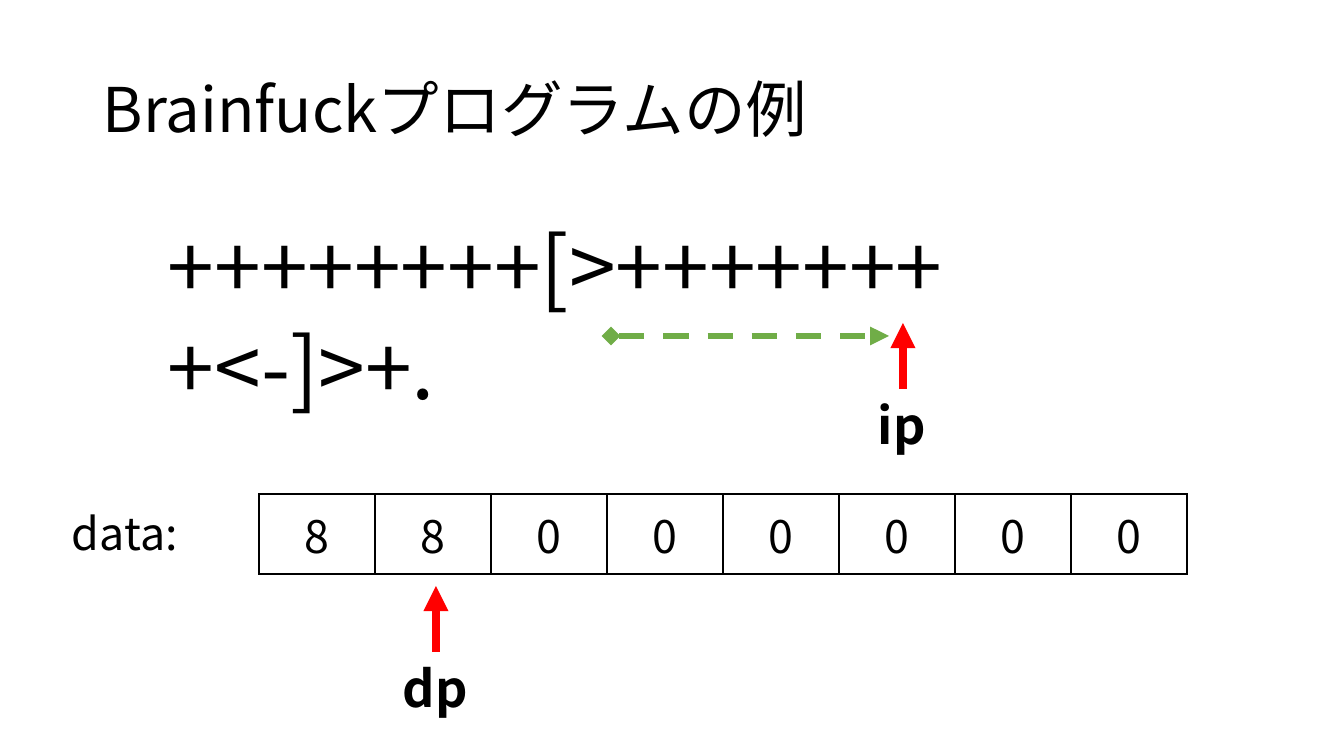
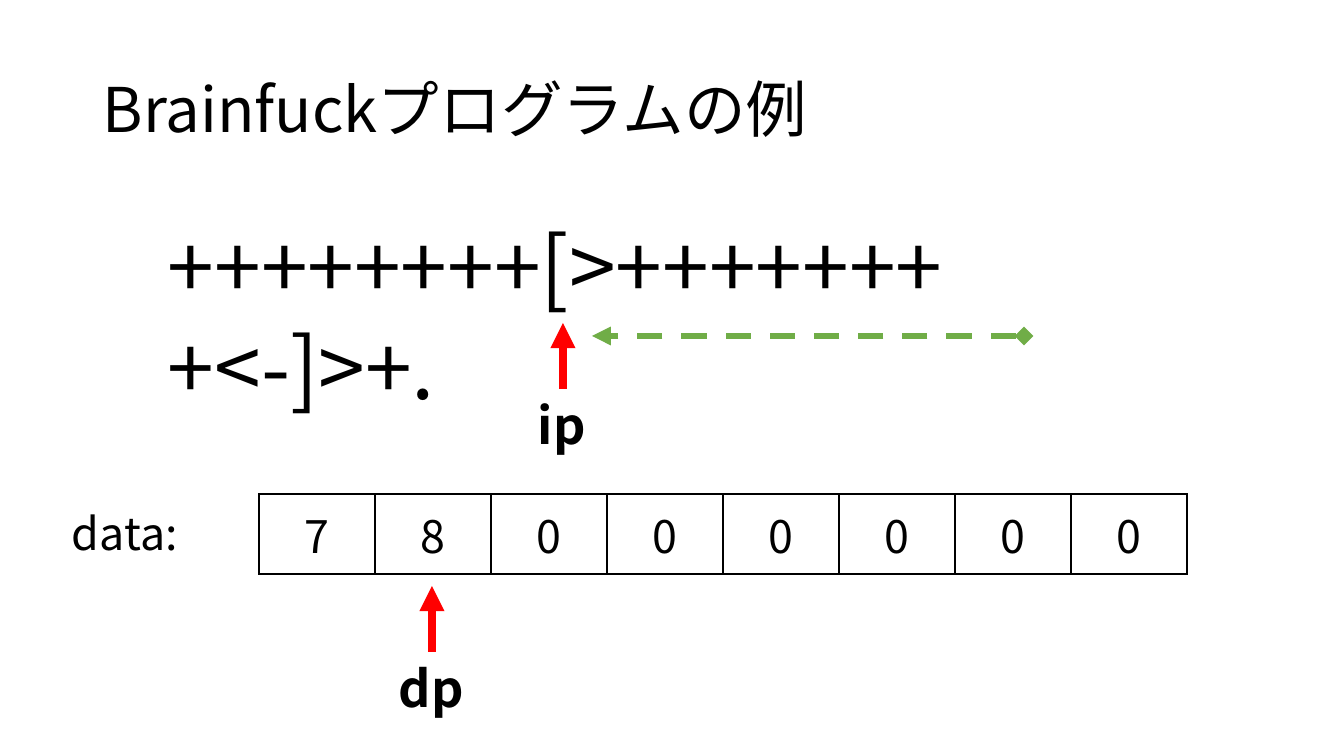
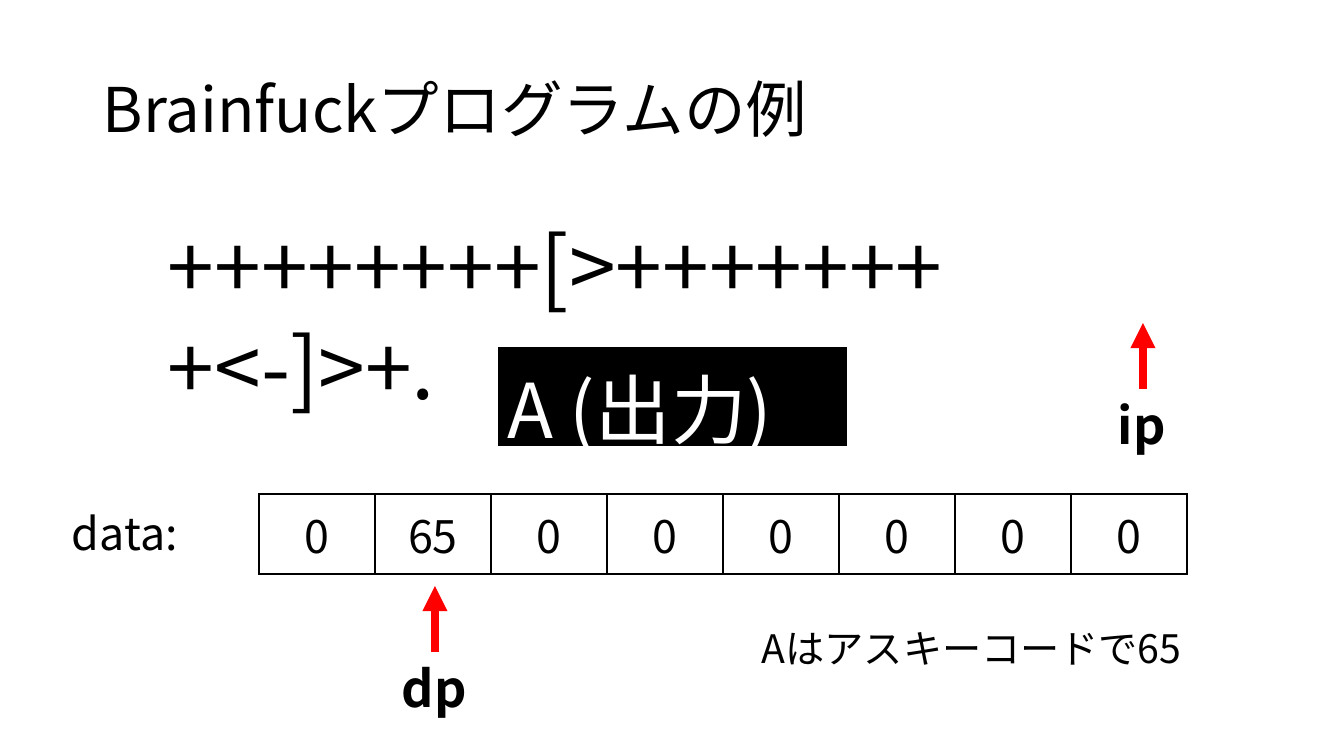
from lxml import etree
from pptx import Presentation
from pptx.dml.color import RGBColor
from pptx.enum.dml import MSO_LINE
from pptx.enum.shapes import MSO_CONNECTOR
from pptx.enum.text import MSO_ANCHOR, MSO_AUTO_SIZE, PP_ALIGN
from pptx.oxml.ns import qn
from pptx.util import Emu, Pt

STRAIGHT = MSO_CONNECTOR.STRAIGHT
DASH = MSO_LINE.DASH
TOP, MIDDLE = MSO_ANCHOR.TOP, MSO_ANCHOR.MIDDLE
GROW = MSO_AUTO_SIZE.SHAPE_TO_FIT_TEXT
LEFT, CENTER = PP_ALIGN.LEFT, PP_ALIGN.CENTER

FONT = "Noto Sans CJK JP"
COLORS = {"ink": "000000", "paper": "FFFFFF", "point": "FF0000", "move": "70AD47"}

TITLE = "Brainfuckプログラムの例"
CODE = "++++++++[>++++++++<-]>+."
CELLS = 8
COL, ROW = 116, 80
STEM = 66
# name: label width, label top
POINTERS = {"dp": (86, 652), "ip": (70, 389)}
MOVE_Y = 336

# data: leading cells, the rest are 0; dp, ip: centres; move: from x, to x
STEPS = [
    {"data": [8, 8], "dp": 436, "ip": 903, "move": (611, 889)},
    {"data": [7, 8], "dp": 432, "ip": 563, "move": (1024, 592)},
    {"data": [0, 65], "dp": 435, "ip": 1143,
     "output": "A (出力)", "note": "Aはアスキーコードで65"},
]


def px(n):
    return Emu(round(n * 914400 / 100.8))


def rgb(name):
    return RGBColor.from_string(COLORS[name])


def style(para, size, color="ink", bold=False, align=LEFT):
    para.alignment = align
    font = para.font
    font.size, font.bold, font.name = Pt(size), bold, FONT
    font.color.rgb = rgb(color)
    latin = para._p.pPr.find(qn("a:defRPr")).find(qn("a:latin"))
    east = etree.Element(qn("a:ea"), typeface=FONT)
    latin.addnext(east)


def add_text(slide, text, box, size, bold=False, title=False):
    shape = slide.shapes.add_textbox(*map(px, box))
    frame = shape.text_frame
    frame.word_wrap = True
    para = frame.paragraphs[0]
    para.text = text
    if title:
        frame.vertical_anchor = MIDDLE
        para.line_spacing = 0.9
    else:
        frame.auto_size = GROW
    style(para, size, bold=bold)
    return shape


def add_arrow(slide, start, end, color, width, head=None):
    """Draw a line with a triangle at its end and an optional head at its start."""
    arrow = slide.shapes.add_connector(STRAIGHT, *map(px, start + end))
    arrow.line.color.rgb = rgb(color)
    arrow.line.width = Pt(width)
    if head:
        arrow.line.dash_style = DASH
    line = arrow.line._get_or_add_ln()
    if head:
        etree.SubElement(line, qn("a:headEnd"), type=head)
    etree.SubElement(line, qn("a:tailEnd"), type="triangle")
    etree.SubElement(arrow._element.spPr, qn("a:effectLst"))
    return arrow


def add_pointer(slide, name, x):
    """Put a bold label centred on x, with an arrow rising from its top."""
    width, top = POINTERS[name]
    label = add_text(slide, name, (x - width / 2, top, width, 72), 36, bold=True)
    arrow = add_arrow(slide, (x, top), (x, top - STEM), "point", 6)
    arrow.begin_connect(label, 0)


def set_border(cell, color):
    props = cell._tc.get_or_add_tcPr()
    for side in ("lnL", "lnR", "lnT", "lnB"):
        line = etree.SubElement(props, qn("a:" + side), w=str(Pt(1)))
        fill = etree.SubElement(line, qn("a:solidFill"))
        etree.SubElement(fill, qn("a:srgbClr"), val=COLORS[color])


def add_row(slide, values, box, size, ink, paper, anchor, align):
    """Add a table of one row, bordered in the ink colour."""
    frame = slide.shapes.add_table(1, len(values), *map(px, box))
    table = frame.table
    table.first_row = table.horz_banding = False
    for cell, value in zip(table.iter_cells(), values):
        set_border(cell, ink)
        cell.fill.solid()
        cell.fill.fore_color.rgb = rgb(paper)
        cell.vertical_anchor = anchor
        cell.text = str(value)
        style(cell.text_frame.paragraphs[0], size, ink, align=align)
    return frame


def add_output(slide, text):
    box = (497, 346, 351, 101)
    frame = add_row(slide, [text], box, 54, "paper", "ink", TOP, LEFT)
    frame.table.rows[0].height = px(41)
    frame.height = px(box[3])


def add_step(deck, step):
    slide = deck.slides.add_slide(deck.slide_layouts[6])
    add_text(slide, TITLE, (93, 40, 1159, 146), 44, title=True)
    data = step["data"] + [0] * (CELLS - len(step["data"]))
    add_row(slide, data, (259, 494, CELLS * COL, ROW), 32,
            "ink", "paper", MIDDLE, CENTER)
    add_text(slide, CODE, (158, 210, 1028, 112), 60)
    add_text(slide, "data:", (62, 501, 153, 65), 32)
    for name in POINTERS:
        add_pointer(slide, name, step[name])
    if "move" in step:
        start, end = step["move"]
        add_arrow(slide, (start, MOVE_Y), (end, MOVE_Y), "move", 4.5, "diamond")
    if "output" in step:
        add_output(slide, step["output"])
    if "note" in step:
        add_text(slide, step["note"], (752, 619, 444, 57), 28)


def main():
    deck = Presentation()
    deck.slide_width, deck.slide_height = px(1344), px(756)
    for step in STEPS:
        add_step(deck, step)
    deck.save("out.pptx")


if __name__ == "__main__":
    main()
